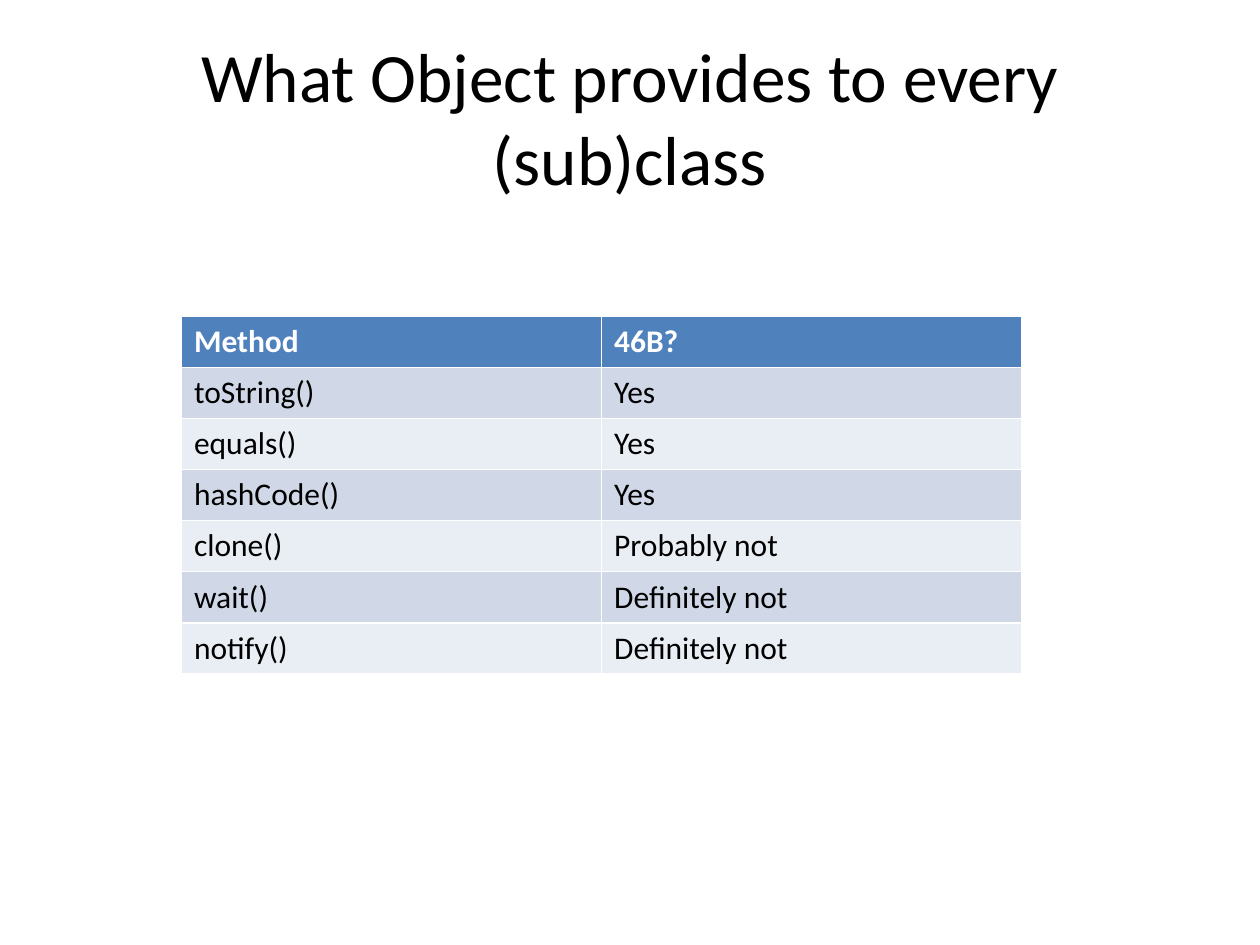
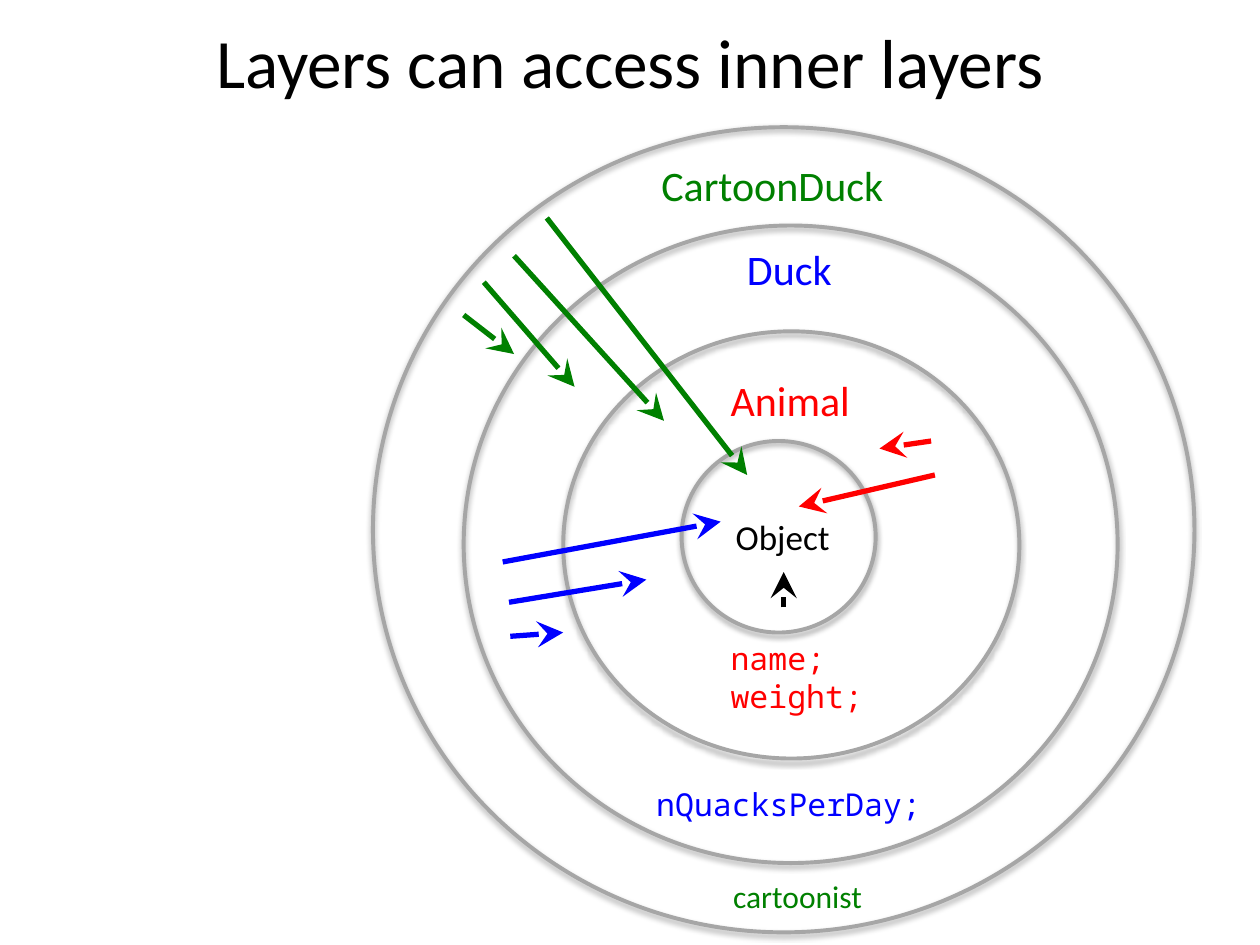
from lxml import etree
from pptx import Presentation
from pptx import util as u
from pptx.dml.color import RGBColor
from pptx.enum import shapes, text
from pptx.oxml.ns import qn

# Shared style
SANS, MONO = "Calibri", "Noto Sans Mono"
BLACK, WHITE, GREY = "000000", "FFFFFF", "A6A6A6"
RED, BLUE, GREEN = "FF0000", "0000FF", "008000"
HEADER_FILL, BAND_FILLS = "4F81BD", ("D0D8E8", "E9EDF4")
TITLE_SIZE, BODY_SIZE = 39.6, 18

# Content of slide 1
METHOD_TITLE = "What Object provides to every (sub)class"
METHOD_ROWS = [
    ("Method", "46B?"),
    ("toString()", "Yes"),
    ("equals()", "Yes"),
    ("hashCode()", "Yes"),
    ("clone()", "Probably not"),
    ("wait()", "Definitely not"),
    ("notify()", "Definitely not"),
]
METHOD_BOX = (1.44, 2.51, 6.67, 2.84)

# Content of slide 2: ring box, then labels as (lines, box, size, font)
LAYER_TITLE = "Layers can access inner layers"
LAYERS = [
    (RED, (4.47, 2.63, 3.62, 3.39), [
        (["Animal"], (5.7, 2.92, 1.16, 0.5), 24, SANS),
        (["name;", "weight;"], (5.7, 5.02, 1.26, 0.71), BODY_SIZE, MONO)]),
    (BLUE, (3.68, 1.79, 5.19, 5.06), [
        (["Duck"], (5.83, 1.88, 0.89, 0.5), 24, SANS),
        (["nQuacksPerDay;"], (5.11, 6.18, 2.32, 0.4), BODY_SIZE, MONO)]),
    (GREEN, (2.96, 1.01, 6.52, 6.39), [
        (["CartoonDuck"], (5.15, 1.22, 1.98, 0.5), 24, SANS),
        (["cartoonist"], (5.72, 6.91, 1.24, 0.4), BODY_SIZE, SANS)]),
    (BLACK, (5.41, 3.5, 1.54, 1.52), [
        (["Object"], (5.74, 4.04, 0.95, 0.44), 20, SANS)]),
]
# Access arrows by the layer they start in: (from x, from y, to x, to y)
ACCESSES = {
    GREEN: [(4.34, 1.73, 5.93, 3.77), (4.08, 2.03, 5.27, 3.34),
            (3.84, 2.24, 4.56, 3.07), (3.68, 2.5, 4.08, 2.81)],
    BLUE: [(3.99, 4.46, 5.72, 4.14), (4.04, 4.78, 5.13, 4.6),
           (4.05, 5.05, 4.47, 5.02)],
    RED: [(7.42, 3.77, 6.34, 4.02), (7.39, 3.5, 6.98, 3.56)],
    BLACK: [(6.22, 4.82, 6.22, 4.54)],
}


def rgb(value):
    return RGBColor.from_string(value)


def inches(values):
    return [u.Inches(value) for value in values]


def style_paragraph(paragraph, size, color, font=SANS, bold=False):
    paragraph.font.size = u.Pt(size)
    paragraph.font.name = font
    paragraph.font.bold = bold
    paragraph.font.color.rgb = rgb(color)


def add_titled_slide(presentation, title, top, height):
    slide = presentation.slides.add_slide(presentation.slide_layouts[5])
    shape = slide.shapes.title
    shape.left, shape.top, shape.width, shape.height = inches((0.5, top, 9, height))
    frame = shape.text_frame
    frame.text = title
    frame.auto_size = text.MSO_AUTO_SIZE.NONE
    frame.vertical_anchor = text.MSO_ANCHOR.MIDDLE
    paragraph = frame.paragraphs[0]
    paragraph.alignment = text.PP_ALIGN.CENTER
    style_paragraph(paragraph, TITLE_SIZE, BLACK)
    return slide


def add_method_table(slide):
    # The default table style supplies the white cell borders
    table = slide.shapes.add_table(
        len(METHOD_ROWS), len(METHOD_ROWS[0]), *inches(METHOD_BOX)).table
    for row, values in enumerate(METHOD_ROWS):
        header = row == 0
        for column, value in enumerate(values):
            cell = table.cell(row, column)
            cell.text = value
            cell.fill.solid()
            cell.fill.fore_color.rgb = rgb(
                HEADER_FILL if header else BAND_FILLS[(row - 1) % 2])
            style_paragraph(cell.text_frame.paragraphs[0], BODY_SIZE,
                            WHITE if header else BLACK, bold=header)


def add_label(parent, lines, box, size, font, color):
    label = parent.add_textbox(*inches(box))
    frame = label.text_frame
    frame.text = "\n".join(lines)
    frame.word_wrap = False
    frame.auto_size = text.MSO_AUTO_SIZE.SHAPE_TO_FIT_TEXT
    for paragraph in frame.paragraphs:
        style_paragraph(paragraph, size, color, font)


def add_layer(slide, color, ring_box, labels):
    group = slide.shapes.add_group_shape().shapes
    # The ring keeps the theme's soft shadow
    ring = group.add_shape(shapes.MSO_SHAPE.OVAL, *inches(ring_box))
    ring.fill.background()
    ring.line.color.rgb = rgb(GREY)
    ring.line.width = u.Pt(2.25)
    for lines, box, size, font in labels:
        add_label(group, lines, box, size, font, color)


def add_arrow(slide, ends, color):
    arrow = slide.shapes.add_connector(
        shapes.MSO_CONNECTOR.STRAIGHT, *inches(ends))
    arrow.line.color.rgb = rgb(color)
    arrow.line.width = u.Pt(3)
    etree.SubElement(arrow.line._get_or_add_ln(), qn("a:tailEnd"),
                     type="stealth", w="lg", len="lg")
    etree.SubElement(arrow._element.spPr, qn("a:effectLst"))


def main():
    presentation = Presentation()
    presentation.slide_width, presentation.slide_height = inches((10, 7.5))

    # Slide 1: methods of Object
    add_method_table(add_titled_slide(presentation, METHOD_TITLE, 0.3, 1.25))

    # Slide 2: nested layers and what they can reach
    slide = add_titled_slide(presentation, LAYER_TITLE, 0.17, 0.63)
    for color, ring_box, labels in LAYERS:
        add_layer(slide, color, ring_box, labels)
    for color, arrows in ACCESSES.items():
        for ends in arrows:
            add_arrow(slide, ends, color)

    presentation.save("out.pptx")


if __name__ == "__main__":
    main()
